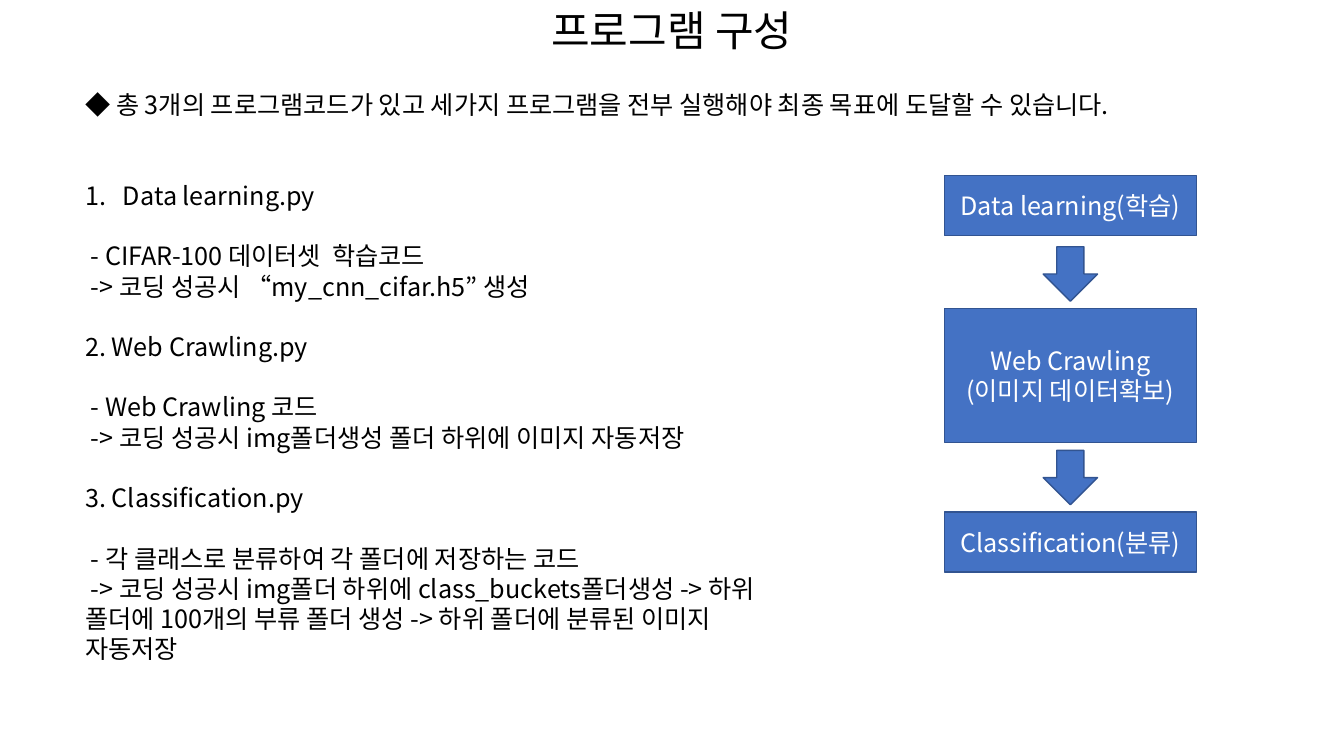
"""Build the slide on program structure: a heading, three steps and a flow."""
from dataclasses import dataclass

from lxml import etree
from pptx import Presentation
from pptx import util as u
from pptx.dml import color
from pptx.enum import shapes, text
from pptx.oxml import ns

FONT = "Noto Sans CJK KR"
HUES = {"ink": "000000", "fill": "4472C4", "edge": "325491", "light": "FFFFFF"}
LEFT = 1.9
TOP = 4.42
FLOW_X, FLOW_W = 23.8, 6.35
ARROW, LEAD = 1.37, 1.55


@dataclass
class Step:
    """A program with its numbered heading and notes."""
    head: str
    notes: list[str]


@dataclass
class Box:
    """A block of the flow."""
    top: float
    high: float
    lines: list[str]


STEPS = [
    Step("Data learning.py", [
        " - CIFAR-100 데이터셋  학습코드",
        " -> 코딩 성공시 “my_cnn_cifar.h5” 생성"]),
    Step("2. Web Crawling.py", [
        " - Web Crawling 코드",
        " -> 코딩 성공시 img폴더생성 폴더 하위에 이미지 자동저장"]),
    Step("3. Classification.py", [
        " - 각 클래스로 분류하여 각 폴더에 저장하는 코드",
        " -> 코딩 성공시 img폴더 하위에 class_buckets폴더생성 -> 하위 폴더에 "
        "100개의 부류 폴더 생성 -> 하위 폴더에 분류된 이미지 자동저장"]),
]
FLOW = [
    Box(TOP, 1.52, ["Data learning(학습)"]),
    Box(7.77, 3.38, ["Web Crawling", "(이미지 데이터확보)"]),
    Box(12.9, 1.52, ["Classification(분류)"]),
]


def rgb(name: str) -> color.RGBColor:
    """Look up a colour."""
    return color.RGBColor.from_string(HUES[name])


def write(frame, words: str, *, size: int = 18, hue: str = "ink",
          mid: bool = False, gap: float = 0):
    """Add a formatted paragraph to a text frame."""
    para = frame.paragraphs[0] if not frame.text else frame.add_paragraph()
    para.alignment = text.PP_ALIGN.CENTER if mid else text.PP_ALIGN.LEFT
    para.space_before = u.Cm(gap)
    run = para.add_run()
    run.text = words
    run.font.size = u.Pt(size)
    run.font.name = FONT
    run.font.color.rgb = rgb(hue)
    east = etree.SubElement(run.font._element, ns.qn("a:ea"))
    east.set("typeface", FONT)
    return para


def number(para) -> None:
    """Give a paragraph an automatic number and a hanging indent."""
    props = para._p.get_or_add_pPr()
    hang = u.Cm(0.95)
    props.set("marL", str(hang))
    props.set("indent", str(-hang))
    mark = etree.SubElement(props, ns.qn("a:buAutoNum"))
    mark.set("type", "arabicPeriod")


def label(slide, x: float, y: float, wide: float, high: float):
    """Add a wrapping text box and return its frame."""
    frame = slide.shapes.add_textbox(
        u.Cm(x), u.Cm(y), u.Cm(wide), u.Cm(high)).text_frame
    frame.word_wrap = True
    frame.auto_size = text.MSO_AUTO_SIZE.SHAPE_TO_FIT_TEXT
    return frame


def block(slide, kind: shapes.MSO_SHAPE, x: float, y: float,
          wide: float, high: float):
    """Add a blue preset shape and return its frame."""
    shape = slide.shapes.add_shape(
        kind, u.Cm(x), u.Cm(y), u.Cm(wide), u.Cm(high))
    shape.shadow.inherit = False
    shape.fill.solid()
    shape.fill.fore_color.rgb = rgb("fill")
    shape.line.color.rgb = rgb("edge")
    shape.line.width = u.Pt(1)
    frame = shape.text_frame
    frame.word_wrap = True
    frame.vertical_anchor = text.MSO_ANCHOR.MIDDLE
    return frame


def main() -> None:
    """Lay out the slide and save it."""
    deck = Presentation()
    deck.slide_width, deck.slide_height = u.Cm(33.87), u.Cm(19.05)
    slide = deck.slides.add_slide(deck.slide_layouts[6])

    write(label(slide, 0, 0, 33.87, 1.55), "프로그램 구성", size=30, mid=True)
    write(label(slide, LEFT, 2.13, 30.05, 1.02),
          "◆ 총 3개의 프로그램코드가 있고 세가지 프로그램을 전부 실행해야 "
          "최종 목표에 도달할 수 있습니다.")

    body = label(slide, LEFT, TOP, 18.52, 12.57)
    for i, step in enumerate(STEPS):
        head = write(body, step.head, gap=0.76 if i else 0)
        if i == 0:
            number(head)
        for j, note in enumerate(step.notes):
            write(body, note, gap=0 if j else 0.76)

    for i, box in enumerate(FLOW):
        if i:
            block(slide, shapes.MSO_SHAPE.DOWN_ARROW,
                  FLOW_X + (FLOW_W - ARROW) / 2, box.top - LEAD, ARROW, ARROW)
        frame = block(slide, shapes.MSO_SHAPE.RECTANGLE,
                      FLOW_X, box.top, FLOW_W, box.high)
        for line in box.lines:
            write(frame, line, hue="light", mid=True)

    deck.save("out.pptx")


if __name__ == "__main__":
    main()
